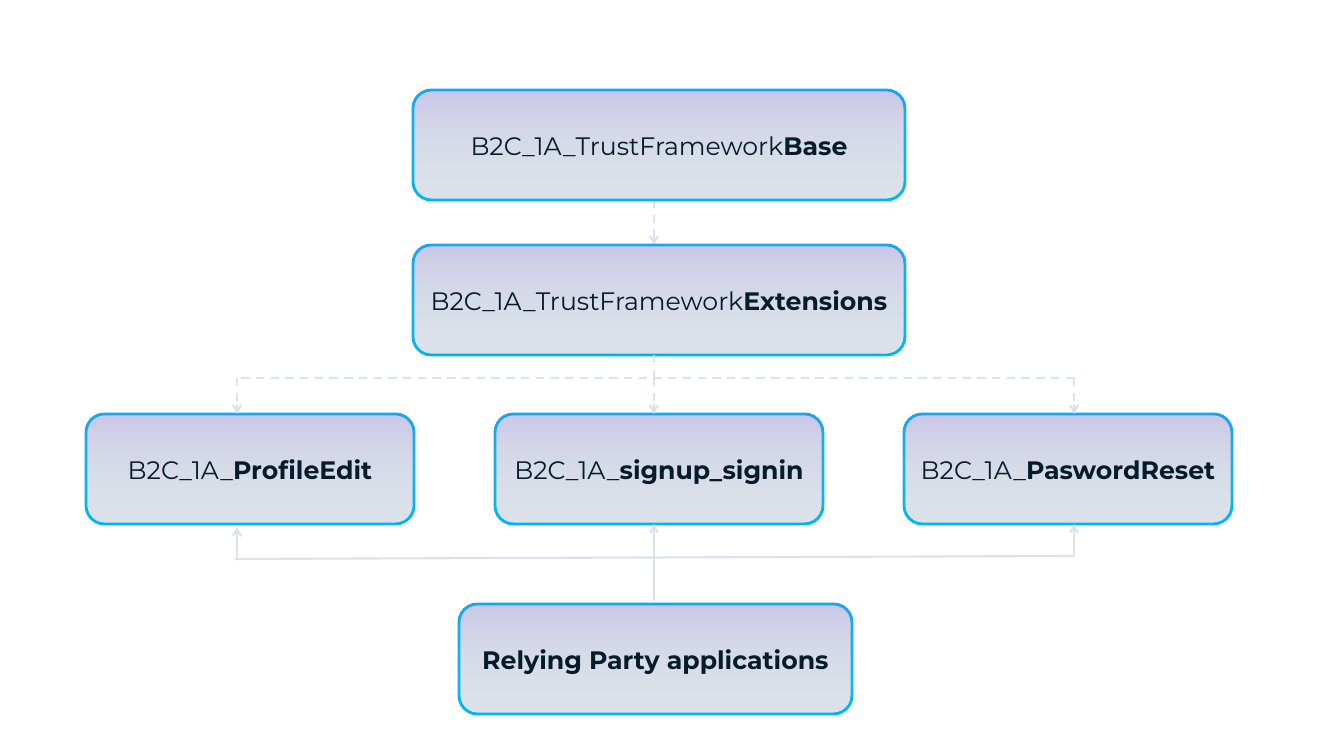
from lxml.etree import SubElement
from pptx import Presentation
from pptx.dml.color import RGBColor
from pptx.enum.dml import MSO_LINE
from pptx.enum.shapes import MSO_CONNECTOR, MSO_SHAPE
from pptx.enum.text import MSO_ANCHOR, PP_ALIGN
from pptx.oxml.ns import qn
from pptx.util import Emu, Pt

MIST = RGBColor(0xDB, 0xE2, 0xE9)
PURPLE = RGBColor(0x8B, 0x5D, 0xE1)
CYAN = RGBColor(0x00, 0xB5, 0xF1)
NAVY = RGBColor(0x04, 0x1C, 0x2C)
EMU_PER_PX = 914400 / 100.8


def px(length):
    return Emu(round(length * EMU_PER_PX))


class PolicyDiagram:
    font_name = "Montserrat"
    font_size = Pt(18)
    box_height = 110

    def __init__(self, slide):
        self.slide = slide

    def rounded(self, left, top, width):
        outline = self.slide.shapes.add_shape(
            MSO_SHAPE.ROUNDED_RECTANGLE, px(left), px(top), px(width), px(self.box_height))
        outline.shadow.inherit = False
        return outline

    def box(self, left, top, width, prefix, emphasis):
        base = self.rounded(left, top, width)
        base.fill.solid()
        base.fill.fore_color.rgb = MIST
        base.line.color.rgb = CYAN
        base.line.width = Pt(2)

        tint = self.rounded(left, top, width)
        tint.line.fill.background()
        tint.fill.gradient()
        tint.fill.gradient_angle = 270
        stops = zip(tint.fill.gradient_stops, (PURPLE, MIST), (0, 0.99))
        for stop, color, position in stops:
            stop.color.rgb = color
            stop.position = position
        colors = list(tint._element.spPr.iter(qn("a:srgbClr")))
        for color, opacity in zip(colors, (20000, 0)):
            SubElement(color, qn("a:alpha")).set("val", str(opacity))
        self.label(tint.text_frame, prefix, emphasis)

    def label(self, frame, prefix, emphasis):
        frame.word_wrap = True
        frame.margin_left = frame.margin_right = 0
        frame.vertical_anchor = MSO_ANCHOR.MIDDLE
        paragraph = frame.paragraphs[0]
        paragraph.alignment = PP_ALIGN.CENTER
        for text, bold in ((prefix, False), (emphasis, True)):
            if text:
                run = paragraph.add_run()
                run.text = text
                run.font.name = self.font_name
                run.font.size = self.font_size
                run.font.bold = bold
                run.font.color.rgb = NAVY

    def link(self, x1, y1, x2, y2, dashed=False, arrow=False):
        connector = self.slide.shapes.add_connector(
            MSO_CONNECTOR.STRAIGHT, px(x1), px(y1), px(x2), px(y2))
        connector.line.color.rgb = MIST
        connector.line.width = Pt(1.5)
        if dashed:
            connector.line.dash_style = MSO_LINE.DASH
        if arrow:
            SubElement(connector.line._get_or_add_ln(), qn("a:tailEnd")).set("type", "arrow")
        SubElement(connector._element.spPr, qn("a:effectLst"))


def main():
    presentation = Presentation()
    presentation.slide_width, presentation.slide_height = px(1344), px(756)
    diagram = PolicyDiagram(presentation.slides.add_slide(presentation.slide_layouts[6]))

    left_x, trunk_x, right_x = 237, 654, 1074
    diagram.link(trunk_x, 200, trunk_x, 245, dashed=True, arrow=True)
    for top, emphasis in ((90, "Base"), (245, "Extensions")):
        diagram.box(413, top, 492, "B2C_1A_TrustFramework", emphasis)
    for column, emphasis in enumerate(("ProfileEdit", "signup_signin", "PaswordReset")):
        diagram.box(86 + 409 * column, 414, 328, "B2C_1A_", emphasis)

    for branch_x in (left_x, trunk_x, right_x):
        diagram.link(branch_x, 378, branch_x, 414, dashed=True, arrow=True)
    diagram.link(right_x, 378, left_x, 378, dashed=True)
    diagram.link(trunk_x, 355, trunk_x, 381, dashed=True)

    diagram.box(459, 604, 393, "", "Relying Party applications")
    for branch_x, start, end in ((trunk_x, 601, 524), (left_x, 560, 527), (right_x, 556, 524)):
        diagram.link(branch_x, start, branch_x, end, arrow=True)
    diagram.link(right_x, 556, 235, 559)

    presentation.save("out.pptx")


if __name__ == "__main__":
    main()
